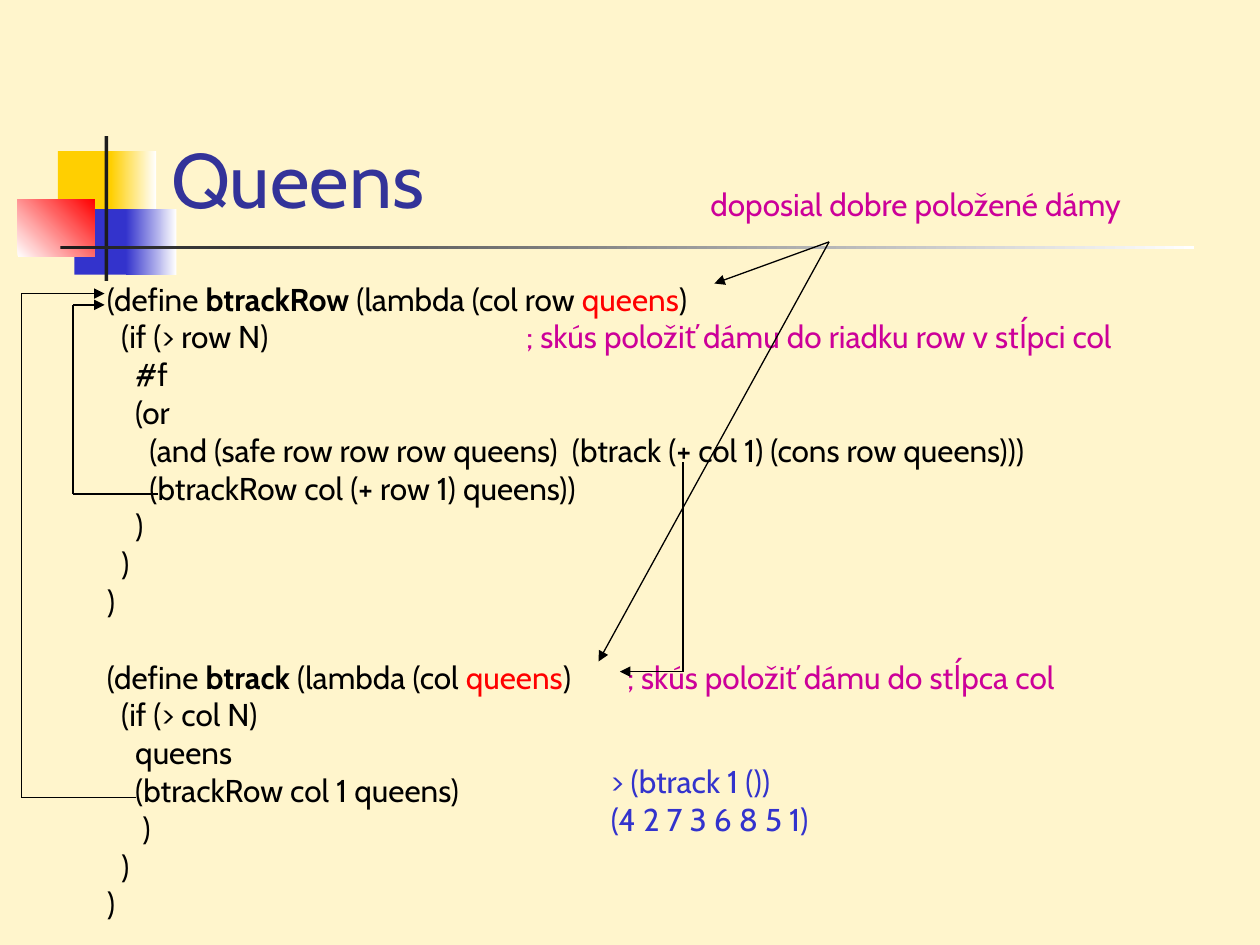
from lxml.etree import SubElement
from pptx import Presentation
from pptx.dml.color import RGBColor
from pptx.enum.shapes import MSO_CONNECTOR, MSO_SHAPE
from pptx.enum.text import MSO_ANCHOR
from pptx.oxml.ns import qn
from pptx.util import Inches, Pt

FONT = "Cabin"
BLACK, WHITE, DARK = "000000", "FFFFFF", "1C1C1C"
RED, BLUE, YELLOW, PINK = "FF0000", "3333CC", "FFCF01", "CC0099"
NAVY, CREAM = "333399", "FFF5CC"

DECORATION = [
    ((0.46, 1.2, 0.48, 0.52), [YELLOW], 0),
    ((0.88, 1.2, 0.36, 0.52), [YELLOW, WHITE], 0),
    ((0.59, 1.66, 0.46, 0.52), [BLUE], 0),
    ((1, 1.66, 0.4, 0.52), [BLUE, WHITE], 0),
    ((0.14, 1.58, 0.61, 0.46), [WHITE, RED], 45),
    ((0.83, 1.08, 0.03, 1.15), [DARK], 0),
    ((0.48, 1.95, 9, 0.03), [DARK, WHITE], 0),
]

ROW_FUNCTION = [
    [("(define ", BLACK), ("btrackRow", BLACK, True), (" (lambda (col row ", BLACK),
     ("queens", RED), (")", BLACK)],
    [("  (if (> row N)", BLACK), ("\t; skús položiť dámu do riadku row v stĺpci col", PINK)],
    [("    #f", BLACK)],
    [("    (or", BLACK)],
    [("      (and (safe row row row queens)  (btrack (+ col 1) (cons row queens)))", BLACK)],
    [("      (btrackRow col (+ row 1) queens))", BLACK)],
    [("    )", BLACK)],
    [("  )", BLACK)],
    [(")", BLACK)],
]
COLUMN_FUNCTION = [
    [("(define ", BLACK), ("btrack", BLACK, True), (" (lambda (col ", BLACK),
     ("queens", RED), (")", BLACK), ("\t; skús položiť dámu do stĺpca col", PINK)],
    [("  (if (> col N)", BLACK)],
    [("    queens", BLACK)],
    [("    (btrackRow col 1 queens)", BLACK)],
    [("     )", BLACK)],
    [("  )", BLACK)],
    [(")", BLACK)],
]
COMMENT_TABS = {1: 3.33, len(ROW_FUNCTION): 4.13}
FUNCTION_GAP = 21.6

RESULT = [[("> (btrack 1 ())", BLUE)], [("(4 2 7 3 6 8 5 1)", BLUE)]]
NOTE = [[("doposial dobre položené dámy", PINK)]]

ARROW_ROUTES = [
    [(1.25, 3.92), (0.58, 3.92), (0.58, 2.42), (0.83, 2.42)],
    [(1.08, 6.33), (0.17, 6.33), (0.17, 2.33), (0.83, 2.33)],
    [(5.42, 3.67), (5.42, 5.33), (4.92, 5.33)],
    [(6.58, 1.92), (5.67, 2.25)],
    [(6.58, 1.92), (4.75, 5.25)],
]


def color(value):
    return RGBColor.from_string(value)


def add_block(page, place, colors, angle):
    block = page.shapes.add_shape(MSO_SHAPE.RECTANGLE, *map(Inches, place))
    block.shadow.inherit = False
    block.line.fill.background()
    if len(colors) == 1:
        block.fill.solid()
        block.fill.fore_color.rgb = color(colors[0])
    else:
        block.fill.gradient()
        block.fill.gradient_angle = angle
        for stop, value in zip(block.fill.gradient_stops, colors):
            stop.color.rgb = color(value)


def add_text(page, place, lines, size=18, wrap=True):
    box = page.shapes.add_textbox(*map(Inches, place))
    frame = box.text_frame
    frame.word_wrap = wrap
    for index, line in enumerate(lines):
        para = frame.paragraphs[0] if index == 0 else frame.add_paragraph()
        for text, value, *bold in line:
            span = para.add_run()
            span.text = text
            span.font.name = FONT
            span.font.size = Pt(size)
            span.font.bold = bool(bold)
            span.font.color.rgb = color(value)
    return frame


def add_tab(para, position):
    tabs = SubElement(para._p.get_or_add_pPr(), qn("a:tabLst"))
    SubElement(tabs, qn("a:tab"), pos=str(Inches(position)), algn="l")


def add_route(page, points):
    for start, end in zip(points, points[1:]):
        line = page.shapes.add_connector(
            MSO_CONNECTOR.STRAIGHT, *map(Inches, start + end))
        line.line.color.rgb = color(BLACK)
        line.line.width = Pt(0.75)
        if end == points[-1]:
            SubElement(line.line._get_or_add_ln(), qn("a:tailEnd"), type="triangle")
        SubElement(line._element.spPr, qn("a:effectLst"))


def main():
    deck = Presentation()
    deck.slide_width, deck.slide_height = Inches(10), Inches(7.5)
    page = deck.slides.add_slide(deck.slide_layouts[6])
    page.background.fill.solid()
    page.background.fill.fore_color.rgb = color(CREAM)

    for place, colors, angle in DECORATION:
        add_block(page, place, colors, angle)

    title = add_text(page, (1.26, 0.23, 8.52, 1.6), [[("Queens", NAVY)]], size=44)
    title.vertical_anchor = MSO_ANCHOR.BOTTOM

    code = add_text(page, (0.75, 2.17, 8.92, 5.2), ROW_FUNCTION + COLUMN_FUNCTION)
    code.paragraphs[len(ROW_FUNCTION)].space_before = Pt(FUNCTION_GAP)
    for index, position in COMMENT_TABS.items():
        add_tab(code.paragraphs[index], position)

    add_text(page, (4.75, 6, 5, 0.7), RESULT)
    add_text(page, (5.54, 1.42, 3.82, 0.4), NOTE, wrap=False)
    for points in ARROW_ROUTES:
        add_route(page, points)

    deck.save("out.pptx")


if __name__ == "__main__":
    main()
